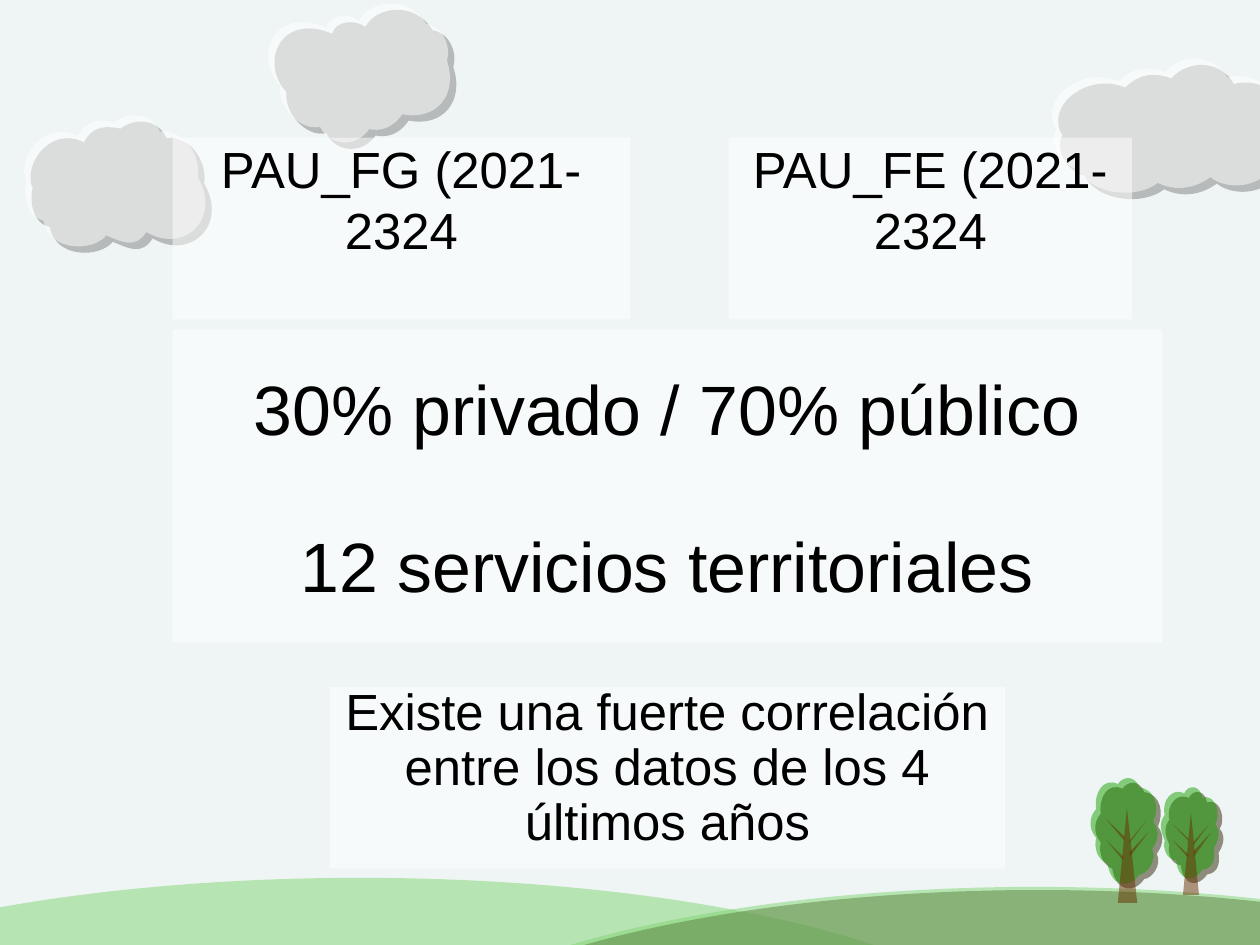
from dataclasses import dataclass

from lxml import etree
from pptx import Presentation
from pptx import util as u
from pptx.dml.color import RGBColor
from pptx.enum import shapes, text
from pptx.oxml.ns import qn


@dataclass(frozen=True)
class Theme:
    font: str = "Arial"
    sky: str = "EFF5F5"
    ink: str = "000000"
    white: str = "FFFFFF"
    hill: str = "80D572"
    leaf: str = "18A000"
    wood: str = "663200"
    cloud_shadow: tuple = ("808080", 5.7)
    hill_shadow: tuple = ("342A06", 2.8)
    leaf_shadow: tuple = ("2E2706", 4.2)
    body: int = 32
    headline: int = 44
    opacity: int = 50


# Outlines are drawn on a grid of 0.72 points: a start, then either corners
# or cubic curves given as two handles and an end.
GRID = 0.72

CLOUDS = [
    [(68, 119), (76, 103, 89, 105, 100, 107), (109, 99, 131, 96, 140, 115),
     (161, 113, 176, 136, 173, 155), (194, 190, 162, 223, 128, 203),
     (118, 218, 108, 212, 93, 206), (82, 220, 43, 221, 38, 193),
     (23, 190, 20, 170, 23, 159), (14, 139, 38, 104, 68, 119)],
    [(285, 24), (288, 13, 304, 11, 314, 18), (324, 0, 357, -5, 373, 21),
     (387, 23, 395, 40, 391, 53), (401, 83, 382, 106, 352, 100),
     (343, 113, 332, 115, 323, 113), (312, 129, 289, 129, 280, 111),
     (262, 115, 243, 93, 245, 75), (221, 49, 240, 5, 285, 24)],
    [(979, 71), (992, 58, 1006, 58, 1019, 63), (1035, 46, 1062, 47, 1074, 68),
     (1091, 63, 1110, 72, 1113, 84), (1132, 85, 1145, 111, 1139, 132),
     (1143, 148, 1126, 156, 1111, 149), (1097, 166, 1071, 165, 1059, 155),
     (1044, 166, 1027, 167, 1013, 160), (994, 175, 954, 170, 943, 148),
     (927, 144, 917, 124, 924, 113), (908, 88, 945, 57, 979, 71)],
]

# Each tree is a crown and the triangles of its branches and trunk.
TREES = [
    ([(978, 686), (982, 680, 992, 677, 997, 689), (1012, 691, 1014, 708, 1009, 719),
      (1016, 729, 1012, 737, 1008, 743), (1013, 753, 1003, 765, 997, 765),
      (989, 777, 973, 778, 969, 756), (960, 752, 957, 742, 959, 733),
      (951, 724, 954, 713, 959, 708), (957, 694, 965, 680, 978, 686)],
     [[(968, 717), (984, 732), (984, 736)], [(968, 735), (983, 750), (982, 752)],
      [(1003, 718), (988, 736), (988, 738)], [(1005, 728), (988, 746), (989, 749)],
      [(978, 790), (986, 707), (995, 790)]]),
    ([(1036, 694), (1040, 686, 1050, 687, 1052, 698), (1065, 694, 1068, 715, 1063, 721),
      (1070, 729, 1064, 739, 1062, 742), (1064, 755, 1059, 760, 1052, 761),
      (1044, 773, 1031, 771, 1029, 753), (1021, 752, 1017, 743, 1019, 735),
      (1014, 725, 1015, 718, 1019, 713), (1016, 700, 1026, 689, 1036, 694)],
     [[(1026, 721), (1040, 734), (1040, 736)], [(1057, 722), (1044, 737), (1044, 740)],
      [(1059, 729), (1044, 745), (1045, 749)], [(1026, 735), (1040, 748), (1039, 750)],
      [(1042, 711), (1049, 783), (1035, 783)]]),
]


def curve_extent(edge, axis):
    """Return the lowest and highest value the curves reach on one axis."""
    reached = []
    for before, curve in zip(edge, edge[1:]):
        a, (b, c, d) = before[-2:][axis], curve[axis::2]
        for t in (step / 20 for step in range(21)):
            s = 1 - t
            reached.append(a * s**3 + 3 * b * t * s**2 + 3 * c * t**2 * s + d * t**3)
    return min(reached), max(reached)


class Landscape:
    def __init__(self, slide, theme):
        self.slide = slide
        self.theme = theme
        fill = slide.background.fill
        fill.solid()
        fill.fore_color.rgb = RGBColor.from_string(theme.sky)

    def paint(self, shape, colour, shadow=None):
        """Give a shape a half clear fill, no line and perhaps a hard shadow."""
        alpha = str(self.theme.opacity * 1000)
        shape.fill.solid()
        shape.fill.fore_color.rgb = RGBColor.from_string(colour)
        shape.line.fill.background()
        shape.shadow.inherit = False
        properties = shape._element.spPr
        tint = properties.find(qn("a:solidFill"))[0]
        etree.SubElement(tint, qn("a:alpha"), val=alpha)
        if shadow:
            shade, distance = shadow
            cast = etree.SubElement(
                properties.find(qn("a:effectLst")), qn("a:outerShdw"), blurRad="0",
                dist=str(int(u.Pt(distance))), dir="2700000", algn="tl", rotWithShape="0")
            tone = etree.SubElement(cast, qn("a:srgbClr"), val=shade)
            etree.SubElement(tone, qn("a:alpha"), val=alpha)

    def hill(self, left, top, width, height, shadow=None):
        mound = self.slide.shapes.add_shape(
            shapes.MSO_SHAPE.OVAL, u.Pt(left), u.Pt(top), u.Pt(width), u.Pt(height))
        self.paint(mound, self.theme.hill, shadow)

    def outline(self, edge, parent=None):
        corners = [(u.Pt(x * GRID), u.Pt(y * GRID)) for *_, x, y in edge]
        builder = (parent or self.slide).shapes.build_freeform(*corners[0])
        builder.add_line_segments(corners[1:], close=True)
        return builder.convert_to_shape()

    def curved_outline(self, edge, parent=None):
        """Draw the outline through the curve ends, then bend each side."""
        shape = self.outline(edge, parent)
        (left, right), (top, bottom) = curve_extent(edge, 0), curve_extent(edge, 1)
        shape.left, shape.top = u.Pt(left * GRID), u.Pt(top * GRID)
        shape.width = u.Pt((right - left) * GRID)
        shape.height = u.Pt((bottom - top) * GRID)
        route = shape._element.spPr.find(".//" + qn("a:path"))
        route.set("w", str(int(shape.width)))
        route.set("h", str(int(shape.height)))
        for segment in list(route):
            route.remove(segment)
        for index, numbers in enumerate(edge):
            kind = "a:cubicBezTo" if index else "a:moveTo"
            segment = etree.SubElement(route, qn(kind))
            for x, y in zip(numbers[::2], numbers[1::2]):
                etree.SubElement(segment, qn("a:pt"),
                                 x=str(int(u.Pt((x - left) * GRID))),
                                 y=str(int(u.Pt((y - top) * GRID))))
        etree.SubElement(route, qn("a:close"))
        return shape

    def cloud(self, edge):
        self.paint(self.curved_outline(edge), self.theme.white, self.theme.cloud_shadow)

    def tree(self, crown, branches):
        group = self.slide.shapes.add_group_shape()
        self.paint(self.curved_outline(crown, group), self.theme.leaf, self.theme.leaf_shadow)
        for branch in branches:
            self.paint(self.outline(branch, group), self.theme.wood)

    def panel(self, words, left, top, width, height, size,
              anchor=text.MSO_ANCHOR.TOP, spacing=None):
        card = self.slide.shapes.add_shape(
            shapes.MSO_SHAPE.RECTANGLE, u.Pt(left), u.Pt(top), u.Pt(width), u.Pt(height))
        self.paint(card, self.theme.white)
        frame = card.text_frame
        frame.word_wrap = True
        frame.vertical_anchor = anchor
        frame.margin_left = frame.margin_right = u.Pt(0)
        frame.margin_top = frame.margin_bottom = u.Pt(0)
        paragraph = frame.paragraphs[0]
        paragraph.alignment = text.PP_ALIGN.CENTER
        paragraph.line_spacing = spacing
        run = paragraph.add_run()
        run.text = words
        run.font.name = self.theme.font
        run.font.size = u.Pt(size)
        run.font.color.rgb = RGBColor.from_string(self.theme.ink)


def main():
    deck = Presentation()
    deck.slide_width, deck.slide_height = u.Pt(793.7), u.Pt(595.3)
    theme = Theme()
    scene = Landscape(deck.slides.add_slide(deck.slide_layouts[6]), theme)

    scene.hill(-198.5, 553, 850.5, 241)
    scene.hill(226.8, 558.7, 850.5, 266.4, theme.hill_shadow)
    for cloud in CLOUDS:
        scene.cloud(cloud)
    for crown, branches in TREES:
        scene.tree(crown, branches)

    left, exam_top, panel_height = 108.7, 86.7, 114.5
    scene.panel("Existe una fuerte correlación entre los datos de los 4 últimos años",
                208, 432.8, 425.2, panel_height, theme.body, spacing=0.9)
    scene.panel("PAU_FG (2021-2324", left, exam_top, 288.2, panel_height, theme.body)
    scene.panel("PAU_FE (2021-2324", 459, exam_top, 254.2, panel_height, theme.body)

    facts_top, fact_height = 207.5, 98.6
    facts = ["30% privado / 70% público", "12 servicios territoriales"]
    for row, fact in enumerate(facts):
        scene.panel(fact, left, facts_top + row * fact_height, 623.5, fact_height,
                    theme.headline, text.MSO_ANCHOR.MIDDLE)
    deck.save("out.pptx")


if __name__ == "__main__":
    main()
